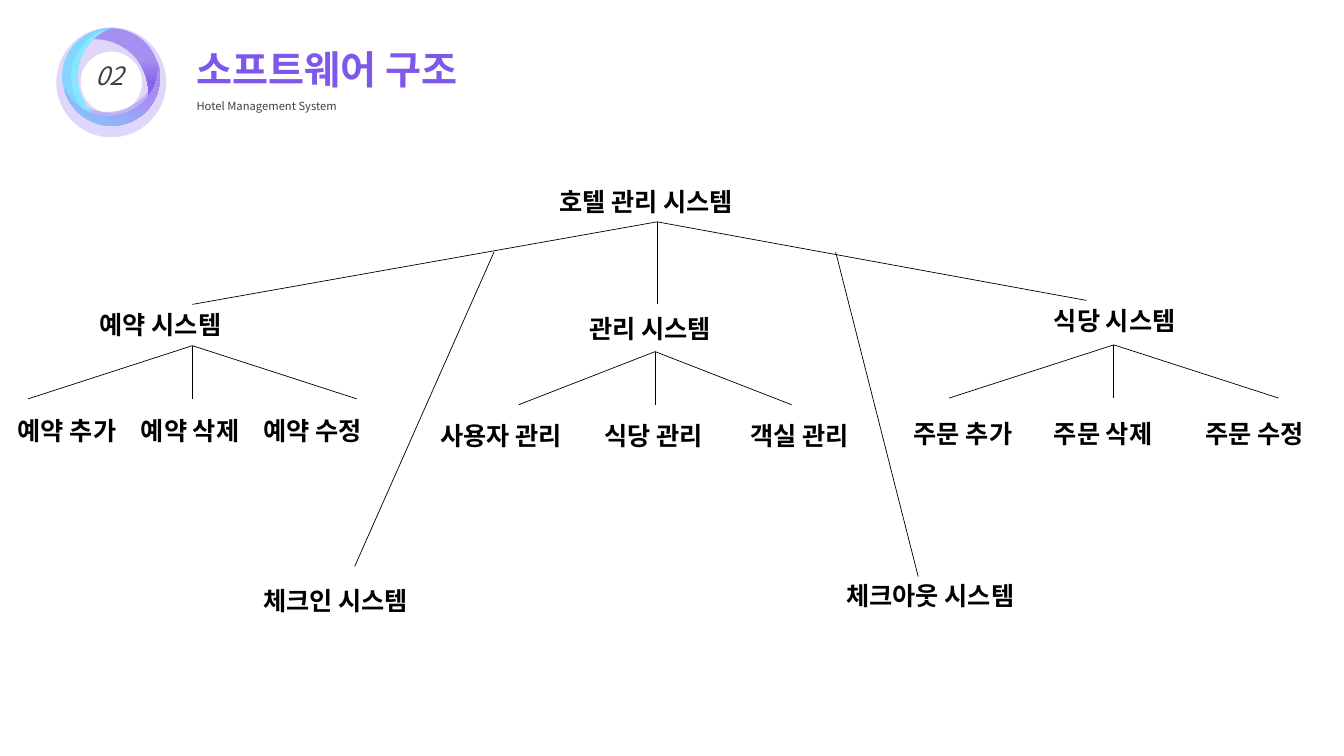
"""Build the hotel management software structure slide."""
from lxml import etree
from pptx import Presentation
from pptx.dml.color import RGBColor
from pptx.enum.shapes import MSO_CONNECTOR, MSO_SHAPE
from pptx.enum.text import MSO_ANCHOR, PP_ALIGN
from pptx.oxml.ns import qn
from pptx.util import Cm, Pt

STRAIGHT = MSO_CONNECTOR.STRAIGHT
DONUT, MOON = MSO_SHAPE.DONUT, MSO_SHAPE.MOON
TOP, LEFT = MSO_ANCHOR.TOP, PP_ALIGN.LEFT
FONT = "Noto Sans CJK KR"
BLACK = RGBColor(0x00, 0x00, 0x00)
GRAY = RGBColor(0x40, 0x40, 0x40)
VIOLET = RGBColor(0x7E, 0x58, 0xEA)
LILAC = RGBColor(0xA7, 0x8E, 0xF1)
CYAN = RGBColor(0x87, 0xE7, 0xFF)
SKY = RGBColor(0x81, 0xD5, 0xFF)


def format_text(para, size, color, bold=False, italic=False):
    para.alignment = LEFT
    for span in para.runs:
        font = span.font
        font.name, font.size = FONT, Pt(size)
        font.bold, font.italic = bold, italic
        font.color.rgb = color
        east_asian = etree.SubElement(font._element, qn("a:ea"))
        east_asian.set("typeface", FONT)


def add_label(text, left, top, width, color=BLACK, bold=True, italic=False):
    box = slide.shapes.add_textbox(Cm(left), Cm(top), Cm(width), Cm(1.02))
    box.text_frame.word_wrap = True
    box.text_frame.text = text
    format_text(box.text_frame.paragraphs[0], 18, color, bold, italic)


deck = Presentation()
deck.slide_width, deck.slide_height = Cm(33.87), Cm(19.05)
slide = deck.slides.add_slide(deck.slide_layouts[5])

title = slide.shapes.title
title.left, title.top, title.width, title.height = Cm(4.7), Cm(0.43), Cm(10.52), Cm(2.57)
title.text_frame.text = "소프트웨어 구조\nHotel Management System"
title.text_frame.vertical_anchor = TOP
heading, subheading = title.text_frame.paragraphs
format_text(heading, 28, VIOLET, bold=True)
format_text(subheading, 8, GRAY)
for para in (heading, subheading):
    para.line_spacing = 1.5
    para.space_before = Pt(0)

RING_PARTS = [
    (DONUT, 1.42, 0.69, 2.77, 2.77, 0, 0.22, [(LILAC, 0)], 36),
    (MOON, 2.36, 1.32, 1.22, 2.44, 255, 0.3, [(LILAC, 0)], 54),
    (MOON, 2.62, 0.28, 1.22, 2.44, 135, 0.366, [(VIOLET, 0.43), (LILAC, 1)], 100),
    (MOON, 1.57, 0.71, 1.22, 2.44, 0, 0.322, [(CYAN, 0)], 100),
    (MOON, 1.57, 0.71, 1.22, 2.44, 0, 0.18, [(SKY, 0)], 100),
    (MOON, 2.36, 1.32, 1.22, 2.44, 255, 0.204, [(SKY, 0), (LILAC, 0.66)], 100),
]
ring = slide.shapes.add_group_shape()
for kind, left, top, width, height, rotation, adjustment, colors, opacity in RING_PARTS:
    part = ring.shapes.add_shape(kind, Cm(left), Cm(top), Cm(width), Cm(height))
    part.rotation = rotation
    part.adjustments[0] = adjustment
    part.shadow.inherit = False
    part.line.fill.background()
    if len(colors) == 1:
        part.fill.solid()
        part.fill.fore_color.rgb = colors[0][0]
    else:
        part.fill.gradient()
        part.fill.gradient_angle = 315
        for stop, (color, position) in zip(part.fill.gradient_stops, colors):
            stop.color.rgb = color
            stop.position = position
    if opacity < 100:
        color_node = part._element.spPr.find(qn("a:solidFill"))[0]
        etree.SubElement(color_node, qn("a:alpha")).set("val", str(opacity * 1000))
    if rotation == 135:
        gradient = part._element.spPr.find(qn("a:gradFill"))
        gradient.remove(gradient.find(qn("a:lin")))
        corner = etree.Element(qn("a:path"), {"path": "rect"})
        etree.SubElement(corner, qn("a:fillToRect"), {"l": "100000", "t": "100000"})
        gradient.find(qn("a:gsLst")).addnext(corner)
add_label("02", 2.16, 1.4, 1.22, GRAY, bold=False, italic=True)

LABELS = [
    ("호텔 관리 시스템", 13.84, 4.57, 5.46),
    ("예약 시스템", 2.26, 7.67, 5.08),
    ("관리 시스템", 14.6, 7.77, 5.08),
    ("식당 시스템", 26.31, 7.57, 4.98),
    ("체크인 시스템", 6.38, 14.63, 5.08),
    ("체크아웃 시스템", 21.08, 14.5, 5.69),
    ("예약 추가", 0.2, 10.34, 4.62),
    ("예약 삭제", 3.3, 10.34, 4.62),
    ("예약 수정", 6.38, 10.34, 4.62),
    ("사용자 관리", 10.85, 10.46, 4.45),
    ("식당 관리", 14.99, 10.46, 3.51),
    ("객실 관리", 18.67, 10.46, 4.47),
    ("주문 추가", 22.78, 10.41, 3.43),
    ("주문 삭제", 26.31, 10.41, 3.6),
    ("주문 수정", 30.12, 10.41, 3.43),
]
for label in LABELS:
    add_label(*label)

lines = [
    (16.56, 5.59, 4.85, 7.67),
    (16.56, 5.59, 16.56, 7.67),
    (16.56, 5.59, 27.38, 7.57),
    (12.45, 6.35, 8.94, 14.27),
    (21.06, 6.35, 23.14, 14.53),
]
for center, top, reach in [(4.85, 8.71, 4.14), (16.51, 8.86, 3.44), (28.07, 8.69, 4.15)]:
    for side in (-1, 0, 1):
        lines.append((center, top, center + side * reach, top + 1.34))
for ends in lines:
    connector = slide.shapes.add_connector(STRAIGHT, *[Cm(value) for value in ends])
    connector.line.color.rgb = BLACK
    connector.line.width = Pt(0.5)
    etree.SubElement(connector._element.spPr, qn("a:effectLst"))

deck.save("out.pptx")
